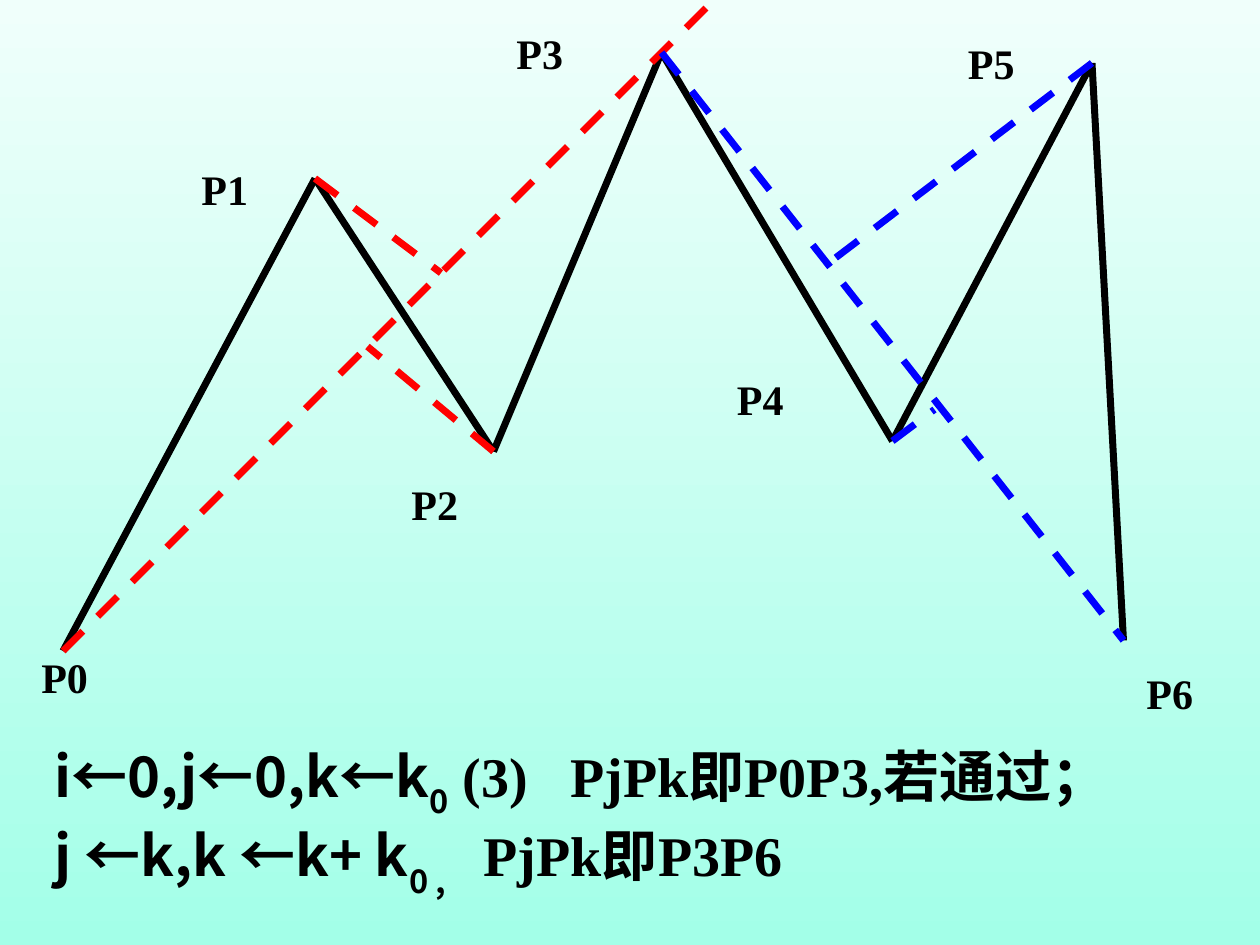
from dataclasses import dataclass

from lxml import etree
from pptx import Presentation
from pptx.dml.color import RGBColor
from pptx.enum.dml import MSO_LINE
from pptx.enum.shapes import MSO_CONNECTOR
from pptx.enum.text import MSO_AUTO_SIZE
from pptx.oxml.ns import qn
from pptx.util import Pt

STRAIGHT = MSO_CONNECTOR.STRAIGHT
DASH = MSO_LINE.DASH
GROW = MSO_AUTO_SIZE.SHAPE_TO_FIT_TEXT
PX = 9525  # EMU per px, 96 px to the inch


@dataclass(frozen=True)
class Theme:
    ink: RGBColor = RGBColor(0x00, 0x00, 0x00)
    red: RGBColor = RGBColor(0xFF, 0x00, 0x00)
    blue: RGBColor = RGBColor(0x00, 0x00, 0xFF)
    sky_top: RGBColor = RGBColor(0xF0, 0xFF, 0xFB)
    sky_bottom: RGBColor = RGBColor(0xA3, 0xFF, 0xE8)
    latin: str = "Times New Roman"
    cjk: str = "Noto Sans CJK SC"
    label_size: Pt = Pt(24)
    formula_size: Pt = Pt(32)
    line_width: Pt = Pt(4)


theme = Theme()


def add_line(shapes, start, end, color, dash=None):
    line = shapes.add_connector(STRAIGHT, *(v * PX for v in (*start, *end)))
    line.line.color.rgb = color
    line.line.width = theme.line_width
    if dash:
        line.line.dash_style = dash
    etree.SubElement(line._element.spPr, qn("a:effectLst"))


def style_paragraph(para, size):
    para.font.size = size
    para.font.bold = True
    para.font.color.rgb = theme.ink


deck = Presentation()
deck.slide_width = 960 * PX
deck.slide_height = 720 * PX
page = deck.slides.add_slide(deck.slide_layouts[6])

backdrop = page.background.fill
backdrop.gradient()
backdrop.gradient_angle = 270
for stop, position, color in zip(
    backdrop.gradient_stops, (0, 1), (theme.sky_top, theme.sky_bottom)
):
    stop.position = position
    stop.color.rgb = color

# Zigzag through P0 to P6
points = [(48, 496), (240, 136), (376, 344), (504, 40), (680, 336), (832, 48), (856, 488)]
zigzag = page.shapes.add_group_shape()
for start, end in zip(points, points[1:]):
    add_line(zigzag.shapes, start, end, theme.ink)

# Point labels
label_corners = [(22, 492), (144, 120), (304, 360), (384, 16), (552, 280), (728, 24), (864, 504)]
for number, (left, top) in enumerate(label_corners):
    box = page.shapes.add_textbox(left * PX, top * PX, 55 * PX, 48 * PX)
    box.text_frame.word_wrap = False
    box.text_frame.auto_size = GROW
    para = box.text_frame.paragraphs[0]
    para.text = f"P{number}"
    style_paragraph(para, theme.label_size)
    para.font.name = theme.latin

# Formulas: tab position, then spans of text, typeface and subscript flag
formulas = [
    (393, [("i←0,j←0,k←k", theme.cjk, False),
           ("0", theme.cjk, True),
           (" (3)\tPjPk即P0P3,若通过；", theme.latin, False)]),
    (327, [("j ←k,k ←k+ k", theme.cjk, False),
           ("0 ,\t", theme.cjk, True),
           ("PjPk即P3P6", theme.latin, False)]),
]
box = page.shapes.add_textbox(32 * PX, 560 * PX, 896 * PX, 131 * PX)
frame = box.text_frame
frame.word_wrap = True
frame.auto_size = GROW
for index, (tab, spans) in enumerate(formulas):
    para = frame.add_paragraph() if index else frame.paragraphs[0]
    tabs = etree.SubElement(para._p.get_or_add_pPr(), qn("a:tabLst"))
    etree.SubElement(tabs, qn("a:tab"), pos=str(tab * PX), algn="l")
    style_paragraph(para, theme.formula_size)
    for text, face, subscript in spans:
        span = para.add_run()
        span.text = text
        span.font.name = face
        properties = span._r.get_or_add_rPr()
        etree.SubElement(properties, qn("a:ea"), typeface=theme.cjk)
        if subscript:
            properties.set("baseline", "-30000")

# Dashed chords and the distances of the points from them
p0, p1, p2, p3, p4, p5, p6 = points
dashed_lines = [
    (p0, (544, 0), theme.red),
    (p2, (280, 264), theme.red),
    (p1, (336, 208), theme.red),
    (p3, p6, theme.blue),
    (p4, (712, 312), theme.blue),
    (p5, (632, 200), theme.blue),
]
for start, end, color in dashed_lines:
    add_line(page.shapes, start, end, color, DASH)

deck.save("out.pptx")
